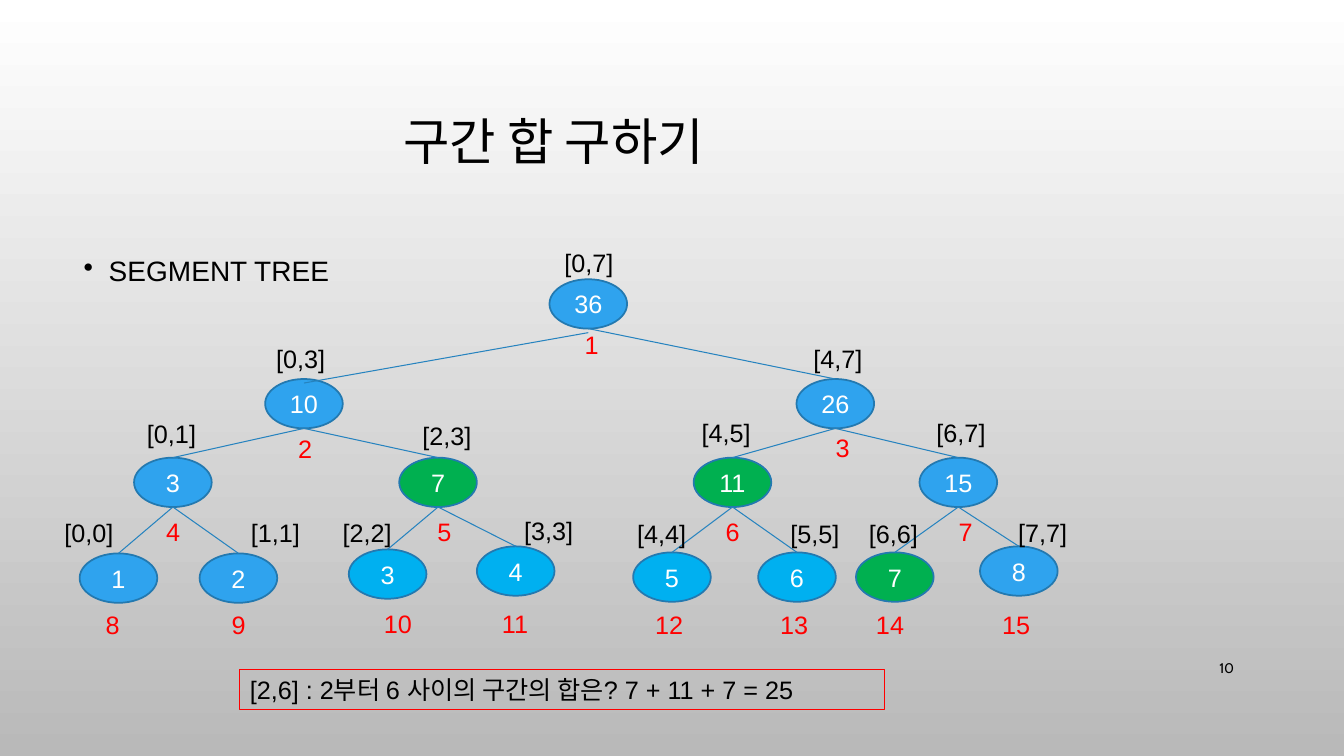
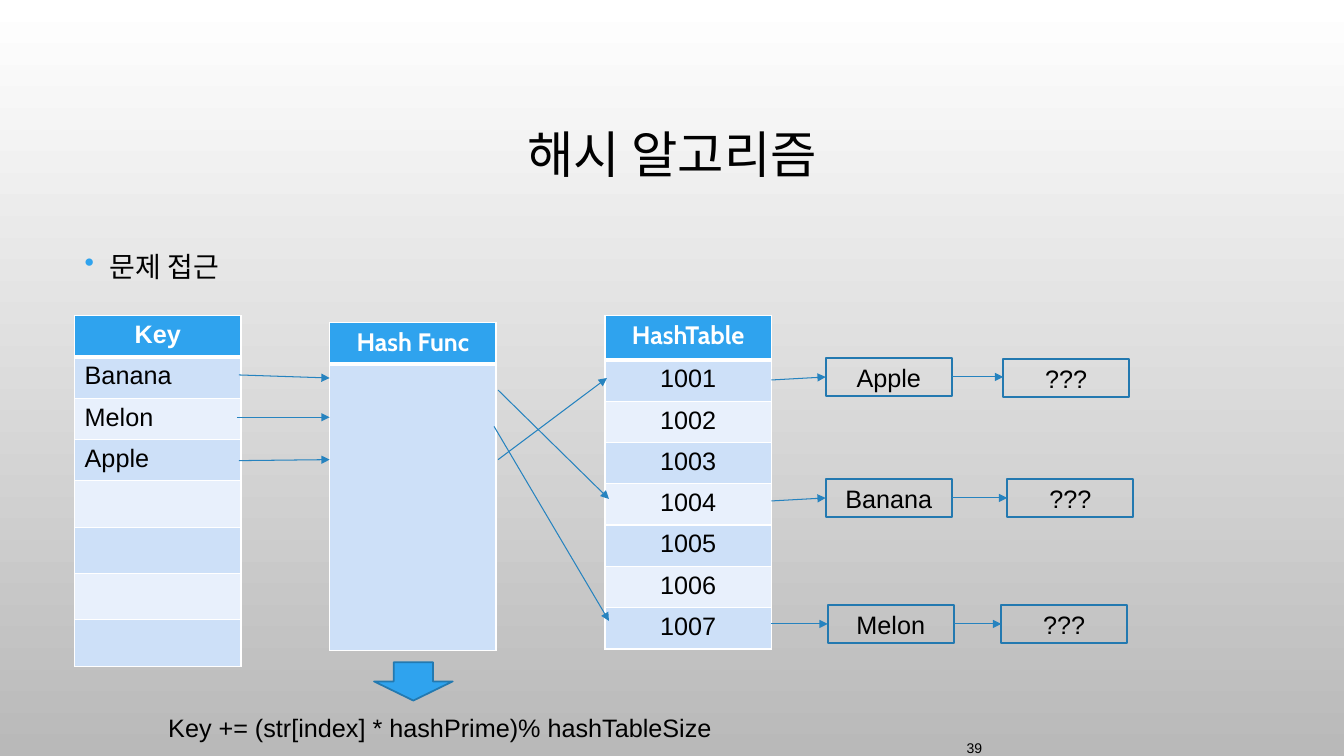
from lxml import etree
from pptx import Presentation
from pptx.dml.color import RGBColor
from pptx.enum.shapes import MSO_CONNECTOR, MSO_SHAPE
from pptx.enum.text import MSO_ANCHOR, MSO_AUTO_SIZE, PP_ALIGN
from pptx.oxml.ns import qn
from pptx.util import Inches, Pt

LEFT, CENTER, RIGHT = PP_ALIGN.LEFT, PP_ALIGN.CENTER, PP_ALIGN.RIGHT
TOP, MIDDLE = MSO_ANCHOR.TOP, MSO_ANCHOR.MIDDLE
OVAL, RECT, DOWN = MSO_SHAPE.OVAL, MSO_SHAPE.RECTANGLE, MSO_SHAPE.DOWN_ARROW
STRAIGHT = MSO_CONNECTOR.STRAIGHT
NO_FIT = MSO_AUTO_SIZE.NONE

COLORS = {
    "black": "000000", "white": "FFFFFF", "shade": "B9B9B9",
    "blue": "2FA3EE", "sky": "00B0F0", "green": "00B050", "red": "FF0000",
    "outline": "2379B0", "line": "2683BF",
    "band_dark": "CDE0F8", "band_light": "E8F0FC",
}


def rgb(name):
    return RGBColor.from_string(COLORS[name])


class Deck:
    def __init__(self):
        self.prs = Presentation()
        self.prs.slide_width, self.prs.slide_height = Inches(13.33), Inches(7.5)
        self.s = None

    def slide(self, title, box):
        """Start a slide with the shared background and title style."""
        self.s = self.prs.slides.add_slide(self.prs.slide_layouts[5])
        fill = self.s.background.fill
        fill.gradient()
        fill.gradient_angle = 270
        for stop, color, pos in zip(fill.gradient_stops, ("white", "shade"), (0, 1)):
            stop.color.rgb = rgb(color)
            stop.position = pos
        sp = self.s.shapes.title
        sp.left, sp.top, sp.width, sp.height = map(Inches, box)
        p = self.fill_text(sp.text_frame, title, 36, align=CENTER, anchor=MIDDLE)
        p.line_spacing = 0.9

    def style(self, p, size, color, font, bold, align):
        p.alignment = align
        for r in p.runs:
            r.font.size, r.font.name, r.font.bold = Pt(size), font, bold
            r.font.color.rgb = rgb(color)

    def fill_text(self, tf, text, size=18, color="black", font="Arial",
                  align=LEFT, anchor=TOP):
        tf.text = text
        tf.word_wrap, tf.auto_size, tf.vertical_anchor = True, NO_FIT, anchor
        p = tf.paragraphs[0]
        self.style(p, size, color, font, False, align)
        return p

    def text(self, x, y, w, text, h=0.4, **style):
        sp = self.s.shapes.add_textbox(*map(Inches, (x, y, w, h)))
        return self.fill_text(sp.text_frame, text, **style)

    def bullet(self, x, y, w, text, color):
        p = self.text(x, y, w, text, h=0.46, size=20)
        p.line_spacing, p.space_before = 1.2, Pt(10)
        pPr = p._p.get_or_add_pPr()
        pPr.set("marL", str(Inches(0.25)))
        pPr.set("indent", str(-Inches(0.25)))
        clr = etree.SubElement(pPr, qn("a:buClr"))
        etree.SubElement(clr, qn("a:srgbClr"), val=COLORS[color])
        etree.SubElement(pPr, qn("a:buChar"), char="•")

    def page_number(self, x, y, w, text, font):
        self.text(x, y, w, text, size=10, font=font, align=RIGHT, anchor=MIDDLE)

    def shape(self, kind, x, y, w, h, text="", fill=None, line="outline",
              width=1.25, color="black", align=CENTER):
        sp = self.s.shapes.add_shape(kind, *map(Inches, (x, y, w, h)))
        sp.shadow.inherit = False
        if fill:
            sp.fill.solid()
            sp.fill.fore_color.rgb = rgb(fill)
        else:
            sp.fill.background()
        sp.line.color.rgb, sp.line.width = rgb(line), Pt(width)
        self.fill_text(sp.text_frame, text, color=color, align=align, anchor=MIDDLE)

    def line(self, x1, y1, x2, y2, arrow=False):
        c = self.s.shapes.add_connector(STRAIGHT, *map(Inches, (x1, y1, x2, y2)))
        c.line.color.rgb, c.line.width = rgb("line"), Pt(0.75)
        spPr = c._element.spPr
        if arrow:
            etree.SubElement(spPr.find(qn("a:ln")), qn("a:tailEnd"), type="triangle")
        etree.SubElement(spPr, qn("a:effectLst"))

    def border(self, cell, **widths):
        tcPr = cell._tc.get_or_add_tcPr()
        for side in "LRTB":
            ln = etree.SubElement(tcPr, qn("a:ln" + side), w=str(Pt(widths.get(side, 1))))
            fill = etree.SubElement(ln, qn("a:solidFill"))
            etree.SubElement(fill, qn("a:srgbClr"), val=COLORS["white"])

    def column(self, x, y, texts, heights, font, align=LEFT):
        """One-column table: a header row over banded rows."""
        box = map(Inches, (x, y, 1.65, sum(heights)))
        table = self.s.shapes.add_table(len(texts), 1, *box).table
        for i, (text, height) in enumerate(zip(texts, heights)):
            table.rows[i].height = Inches(height)
            cell = table.cell(i, 0)
            head = i == 0
            self.border(cell, B=3 if head else 1, T=3 if i == 1 else 1)
            cell.fill.solid()
            band = "band_dark" if i % 2 else "band_light"
            cell.fill.fore_color.rgb = rgb("blue" if head else band)
            cell.text = text
            self.style(cell.text_frame.paragraphs[0], 18,
                       "white" if head else "black", font if head else "Arial",
                       head, CENTER if head else align)


# Tree nodes in heap order: left, top, fill, range label at, number at
NODES = {
    1: (5.45, 2.77, "blue", (5.5, 2.4), (5.7, 3.22)),
    2: (2.63, 3.76, "blue", (2.64, 3.36), (2.86, 4.25)),
    3: (7.9, 3.76, "blue", (7.97, 3.36), (8.19, 4.24)),
    4: (1.33, 4.54, "blue", (1.36, 4.1), (1.55, 5.07)),
    5: (3.96, 4.54, "green", (4.09, 4.12), (4.24, 5.07)),
    6: (6.88, 4.54, "green", (6.86, 4.09), (7.1, 5.07)),
    7: (9.12, 4.54, "blue", (9.19, 4.09), (9.41, 5.07)),
    8: (0.79, 5.49, "blue", (0.54, 5.08), (0.95, 6)),
    9: (1.98, 5.49, "blue", (2.39, 5.08), (2.2, 6)),
    10: (3.46, 5.45, "sky", (3.3, 5.08), (3.71, 5.99)),
    11: (4.73, 5.42, "sky", (5.1, 5.06), (4.88, 5.99)),
    12: (6.28, 5.48, "sky", (6.22, 5.09), (6.4, 6)),
    13: (7.52, 5.48, "sky", (7.74, 5.09), (7.64, 6)),
    14: (8.49, 5.48, "green", (8.52, 5.09), (8.59, 6)),
    15: (9.72, 5.42, "blue", (10, 5.08), (9.84, 6)),
}
NODE_W, NODE_H, LEAVES = 0.77, 0.49, 8


def node_range(i):
    depth = i.bit_length() - 1
    span = LEAVES >> depth
    low = (i - (1 << depth)) * span
    return low, low + span - 1


def segment_tree(d):
    d.slide("구간 합 구하기", (0.79, 0.71, 9.4, 1.44))
    d.bullet(0.73, 2.4, 4.39, "SEGMENT TREE", "black")
    d.page_number(11.5, 6.43, 0.84, "10", "Cabin")
    # Nodes hold the sum of the values 1 to 8 in their range
    for i, (x, y, fill, _, _) in NODES.items():
        low, high = node_range(i)
        total = sum(range(low + 1, high + 2))
        d.shape(OVAL, x, y, NODE_W, NODE_H, str(total), fill, color="white")
    # Edges from each parent to its child
    for i in range(2, len(NODES) + 1):
        (px, py), (x, y) = NODES[i // 2][:2], NODES[i][:2]
        drop = 0.04 if i == 2 else 0
        d.line(px + NODE_W / 2, py + NODE_H + drop, x + NODE_W / 2, y + drop)
    # Range and number labels
    for i, (_, _, _, range_at, number_at) in NODES.items():
        low, high = node_range(i)
        d.text(*range_at, 0.83, f"[{low},{high}]")
        d.text(*number_at, 0.53, str(i), color="red")
    d.shape(RECT, 2.38, 6.64, 6.39, 0.4,
            "[2,6] : 2부터 6 사이의 구간의 합은? 7 + 11 + 7 = 25",
            line="red", width=0.75, align=LEFT)


def hash_algorithm(d):
    d.slide("해시 알고리즘", (1, 0.68, 11.33, 1.75))
    d.bullet(0.74, 2.36, 10.03, "문제 접근", "blue")
    d.page_number(9.09, 7.22, 0.75, "39", "Arial")
    # Tables
    row = 0.41
    d.column(0.74, 3.13, ["Key", "Banana", "Melon", "Apple"] + [""] * 4,
             [row] * 4 + [0.46] * 4, "Arial")
    d.column(3.27, 3.2, ["Hash Func", ""], [row, 2.84], "Cabin")
    d.column(6, 3.13, ["HashTable"] + [str(n) for n in range(1001, 1008)],
             [0.44] + [row] * 7, "Cabin", CENTER)
    # Arrows into and out of the hash function
    for ends in ((2.37, 3.72, 3.27, 3.75), (2.35, 4.14, 3.27, 4.14),
                 (2.37, 4.57, 3.27, 4.56), (4.94, 3.87, 6.04, 4.95),
                 (4.9, 4.23, 6.04, 6.16), (4.94, 4.56, 6.02, 3.75)):
        d.line(*ends, arrow=True)
    # Chains: table slot, key box, next box
    w, h = 1.25, 0.38
    for key, x, y, next_x, next_y, slot_y in (
            ("Apple", 8.19, 3.55, 9.95, 3.56, 3.77),
            ("Banana", 8.19, 4.75, 9.99, 4.75, 4.97),
            ("Melon", 8.21, 6, 9.93, 6, 6.19)):
        mid = y + h / 2
        d.shape(RECT, x, y, w, h, key)
        d.shape(RECT, next_x, next_y, w, h, "???")
        d.line(7.65, slot_y, x, mid, arrow=True)
        d.line(x + w, mid, next_x, mid, arrow=True)
    # Formula
    d.text(1.57, 7.02, 6.99, "Key += (str[index] * hashPrime)% hashTableSize")
    d.shape(DOWN, 3.71, 6.57, 0.78, 0.38, fill="blue")


def main():
    d = Deck()
    segment_tree(d)
    hash_algorithm(d)
    d.prs.save("out.pptx")


if __name__ == "__main__":
    main()
